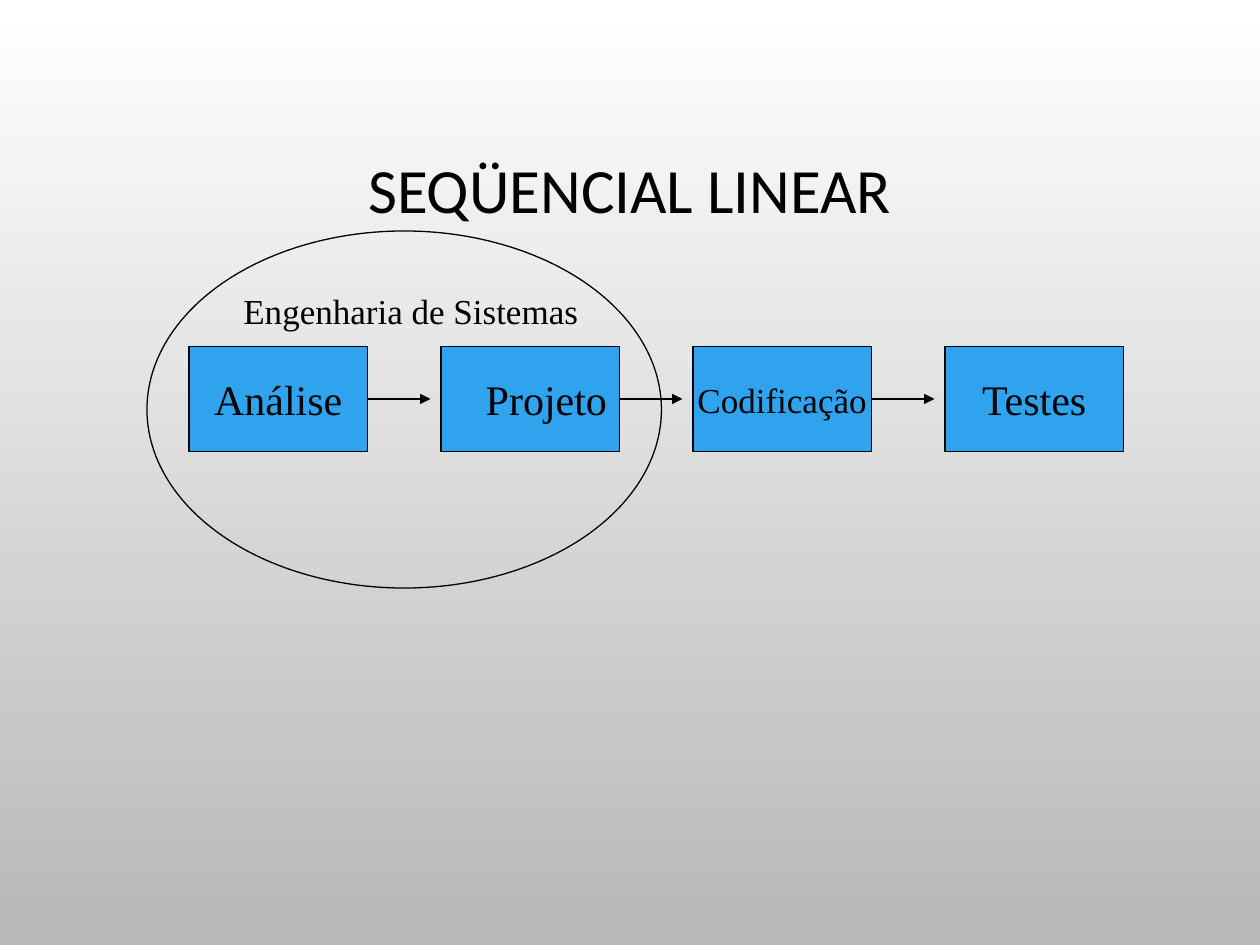
from lxml.etree import SubElement
from pptx import Presentation
from pptx.dml.color import RGBColor
from pptx.enum.shapes import MSO_CONNECTOR as Link, MSO_SHAPE as Shape
from pptx.enum.text import MSO_ANCHOR as Anchor, MSO_AUTO_SIZE as Fit, PP_ALIGN as Align
from pptx.oxml.ns import qn
from pptx.util import Inches, Pt

COLORS = {"ink": "000000", "step": "2FA3EE", "top": "FFFFFF", "bottom": "B8B8B8"}
SERIF = "Times New Roman"
UNIT = Inches(10) // 120
STEPS = [
    ("Análise", 24, Align.CENTER),
    ("Projeto", 24, Align.RIGHT),
    ("Codificação", 20, Align.CENTER),
    ("Testes", 24, Align.CENTER),
]


def color(name):
    return RGBColor.from_string(COLORS[name])


def grid(*cells):
    return [round(c * UNIT) for c in cells]


def write(sp, text, size=24, font=SERIF, align=Align.LEFT, anchor=Anchor.MIDDLE,
          wrap=False, fit=Fit.NONE, spacing=None):
    tf = sp.text_frame
    tf.word_wrap = wrap
    tf.auto_size = fit
    tf.vertical_anchor = anchor
    p = tf.paragraphs[0]
    p.alignment = align
    p.line_spacing = spacing
    r = p.add_run()
    r.text = text
    r.font.size = Pt(size)
    r.font.name = font
    r.font.color.rgb = color("ink")


def outline(sp):
    sp.line.color.rgb = color("ink")
    sp.line.width = Pt(0.75)


def add_figure(s, kind, box, fill=None):
    sp = s.shapes.add_shape(kind, *grid(*box))
    sp.shadow.inherit = False
    if fill:
        sp.fill.solid()
        sp.fill.fore_color.rgb = color(fill)
    else:
        sp.fill.background()
    outline(sp)
    return sp


def add_arrow(s, x, y, length):
    c = s.shapes.add_connector(Link.STRAIGHT, *grid(x, y, x + length, y))
    outline(c)
    SubElement(c.line._get_or_add_ln(), qn("a:tailEnd"), type="triangle")
    SubElement(c._element.spPr, qn("a:effectLst"))


def set_background(s):
    fill = s.background.fill
    fill.gradient()
    fill.gradient_angle = 270
    for stop, name in zip(fill.gradient_stops, ("top", "bottom")):
        stop.color.rgb = color(name)


def add_title(s, box, text):
    sp = s.shapes.title
    sp.left, sp.top, sp.width, sp.height = grid(*box)
    write(sp, text, size=36, font="Calibri", align=Align.CENTER, wrap=True, spacing=0.8)


def add_flow(s, box, steps, gap=7, arrow=6):
    x, y, w, h = box
    step_w = (w - gap * (len(steps) - 1)) / len(steps)
    lefts = [x + i * (step_w + gap) for i in range(len(steps))]
    for left, (text, size, align) in zip(lefts, steps):
        sp = add_figure(s, Shape.RECTANGLE, (left, y, step_w, h), "step")
        write(sp, text, size=size, align=align)
    for left in lefts[:-1]:
        add_arrow(s, left + step_w, y + h / 2, arrow)


def add_group(s, box, text):
    x, y, w, h = box
    add_figure(s, Shape.OVAL, box)
    sp = s.shapes.add_textbox(*grid(x + 8, y + 5, w * 0.7, h * 0.155))
    write(sp, text, size=20, anchor=Anchor.TOP, fit=Fit.SHAPE_TO_FIT_TEXT)


def main():
    prs = Presentation()
    prs.slide_width, prs.slide_height = grid(120, 90)
    s = prs.slides.add_slide(prs.slide_layouts[5])
    set_background(s)
    add_title(s, (9, 8.2, 102, 20.9), "SEQÜENCIAL LINEAR")
    add_flow(s, (18, 33, 89, 10), STEPS)
    add_group(s, (14, 22, 49, 34), "Engenharia de Sistemas")
    prs.save("out.pptx")


if __name__ == "__main__":
    main()
